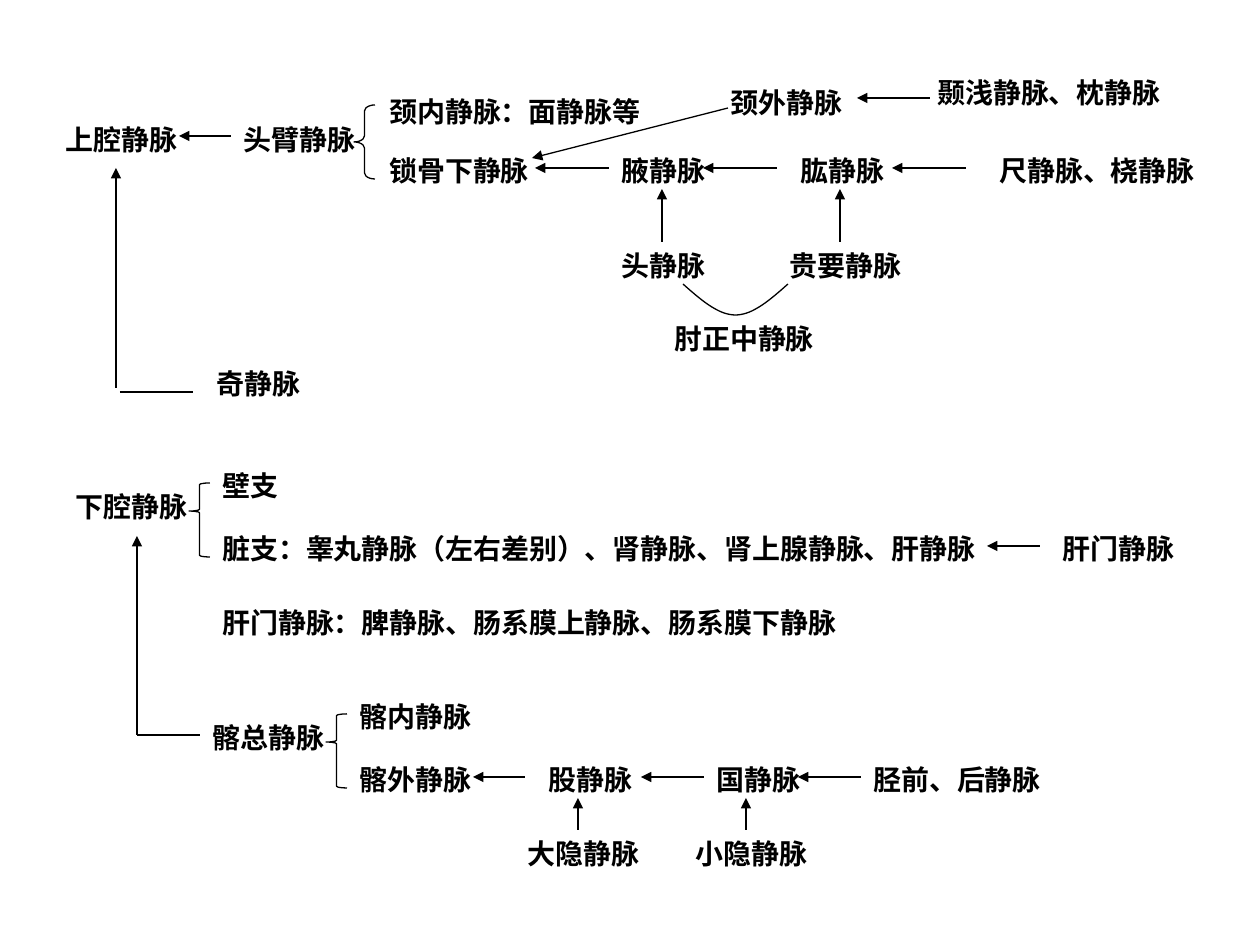
from lxml.etree import SubElement
from pptx import Presentation
from pptx.dml.color import RGBColor
from pptx.enum.shapes import MSO_CONNECTOR as Connector, MSO_SHAPE as Shape
from pptx.enum.text import MSO_AUTO_SIZE as AutoSize
from pptx.oxml.ns import qn
from pptx.util import Emu, Pt

SCALE = 914400 / 126
COLORS = {"ink": "000000"}
FONT = "Times New Roman"
LABEL_HEIGHT = 47
BRACE_WIDTH, BRACE_HEIGHT = 21, 74


def px(length):
    """Turn a length in px into EMU."""
    return Emu(round(length * SCALE))


def ink():
    """Return the colour of text and lines."""
    return RGBColor.from_string(COLORS["ink"])


def style_line(line):
    """Give a line the thin stroke of the diagram."""
    line.color.rgb = ink()
    line.width = Pt(0.75)


def add_vein(slide, box, name, x, y, width):
    """Place the name of a vein."""
    vein = slide.shapes.add_textbox(
        px(box[0] + x), px(box[1] + y), px(width), px(LABEL_HEIGHT))
    frame = vein.text_frame
    frame.text = name
    frame.word_wrap = True
    frame.auto_size = AutoSize.SHAPE_TO_FIT_TEXT
    paragraph = frame.paragraphs[0]
    paragraph.space_before = Pt(10)
    font = paragraph.runs[0].font
    font.name, font.size, font.bold = FONT, Pt(16), True
    font.color.rgb = ink()


def add_flow(slide, box, x1, y1, x2, y2, arrow=True):
    """Draw a straight line, with an arrowhead where the blood flows to."""
    left, top = box[:2]
    flow = slide.shapes.add_connector(
        Connector.STRAIGHT,
        px(left + x1), px(top + y1), px(left + x2), px(top + y2))
    style_line(flow.line)
    if arrow:
        SubElement(flow.line._get_or_add_ln(), qn("a:tailEnd"), type="triangle")
    SubElement(flow._element.spPr, qn("a:effectLst"))


def add_brace(slide, box, x, y, curl, tip):
    """Draw a left brace that groups the branches of a vein."""
    brace = slide.shapes.add_shape(
        Shape.LEFT_BRACE, px(box[0] + x), px(box[1] + y),
        px(BRACE_WIDTH), px(BRACE_HEIGHT))
    brace.adjustments[0], brace.adjustments[1] = curl, tip
    brace.fill.background()
    brace.shadow.inherit = False
    style_line(brace.line)


def add_sagging_link(slide, box, x, y, width, depth, steps=40):
    """Draw the open curve that hangs between two veins."""
    left, top = box[0] + x, box[1] + y
    points = []
    for step in range(steps + 1):
        share = step / steps
        rise = 1 - abs(1 - 2 * share)
        sag = 1.5 * rise - 0.5 * rise ** 3
        points.append((px(left + width * share), px(top + depth * sag)))
    builder = slide.shapes.build_freeform(*points[0])
    builder.add_line_segments(points[1:], close=False)
    link = builder.convert_to_shape()
    link.fill.background()
    link.shadow.inherit = False
    style_line(link.line)


def add_superior_vena_cava(slide, box):
    """Build the tree of the superior vena cava in its box."""
    veins = [
        ("上腔静脉", 0, 47, 199),
        ("头臂静脉", 178, 47, 210),
        ("颈内静脉：面静脉等", 324, 19, 312),
        ("锁骨下静脉", 324, 78, 168),
        ("腋静脉", 556, 78, 136),
        ("肱静脉", 735, 78, 136),
        ("尺静脉、桡静脉", 934, 78, 242),
        ("头静脉", 556, 173, 126),
        ("贵要静脉", 724, 173, 158),
        ("肘正中静脉", 609, 246, 179),
        ("奇静脉", 151, 291, 136),
        ("颈外静脉", 665, 10, 158),
        ("颞浅静脉、枕静脉", 872, 0, 276),
    ]
    for vein in veins:
        add_vein(slide, box, *vein)
    add_brace(slide, box, 301, 36, 0.29, 0.5)
    add_flow(slide, box, 178, 67, 126, 67)
    for start in (556, 724, 913):
        add_flow(slide, box, start, 99, start - 74, 99)
    for x in (609, 787):
        add_flow(slide, box, x, 173, x, 120)
    add_sagging_link(slide, box, 630, 215, 105, 31)
    add_flow(slide, box, 63, 319, 63, 99)
    add_flow(slide, box, 67, 323, 140, 323, arrow=False)
    add_flow(slide, box, 675, 39, 479, 89)
    add_flow(slide, box, 877, 29, 804, 29)


def add_inferior_vena_cava(slide, box):
    """Build the tree of the inferior vena cava in its box."""
    veins = [
        ("下腔静脉", 0, 21, 147),
        ("壁支", 147, 0, 189),
        ("脏支：睾丸静脉（左右差别）、肾静脉、肾上腺静脉、肝静脉", 147, 63, 788),
        ("肝门静脉", 987, 63, 147),
        ("肝门静脉：脾静脉、肠系膜上静脉、肠系膜下静脉", 147, 137, 987),
        ("髂总静脉", 137, 252, 147),
        ("髂内静脉", 284, 231, 158),
        ("髂外静脉", 284, 294, 147),
        ("股静脉", 473, 294, 136),
        ("国静脉", 641, 294, 179),
        ("胫前、后静脉", 798, 294, 210),
        ("大隐静脉", 452, 368, 179),
        ("小隐静脉", 620, 368, 158),
    ]
    for vein in veins:
        add_vein(slide, box, *vein)
    for x, y in ((126, 21), (263, 252)):
        add_brace(slide, box, x, y, 0.08, 0.38)
    add_flow(slide, box, 977, 84, 924, 84)
    add_flow(slide, box, 74, 273, 74, 74)
    add_flow(slide, box, 74, 273, 137, 273, arrow=False)
    for start, end in ((462, 410), (641, 578), (798, 735)):
        add_flow(slide, box, start, 315, end, 315)
    for x in (515, 683):
        add_flow(slide, box, x, 368, x, 336)


def main():
    """Build and save the slide."""
    deck = Presentation()
    deck.slide_width, deck.slide_height = px(1260), px(945)
    slide = deck.slides.add_slide(deck.slide_layouts[6])
    add_superior_vena_cava(slide, (53, 69, 1176, 338))
    add_inferior_vena_cava(slide, (63, 462, 1134, 415))
    deck.save("out.pptx")


if __name__ == "__main__":
    main()
